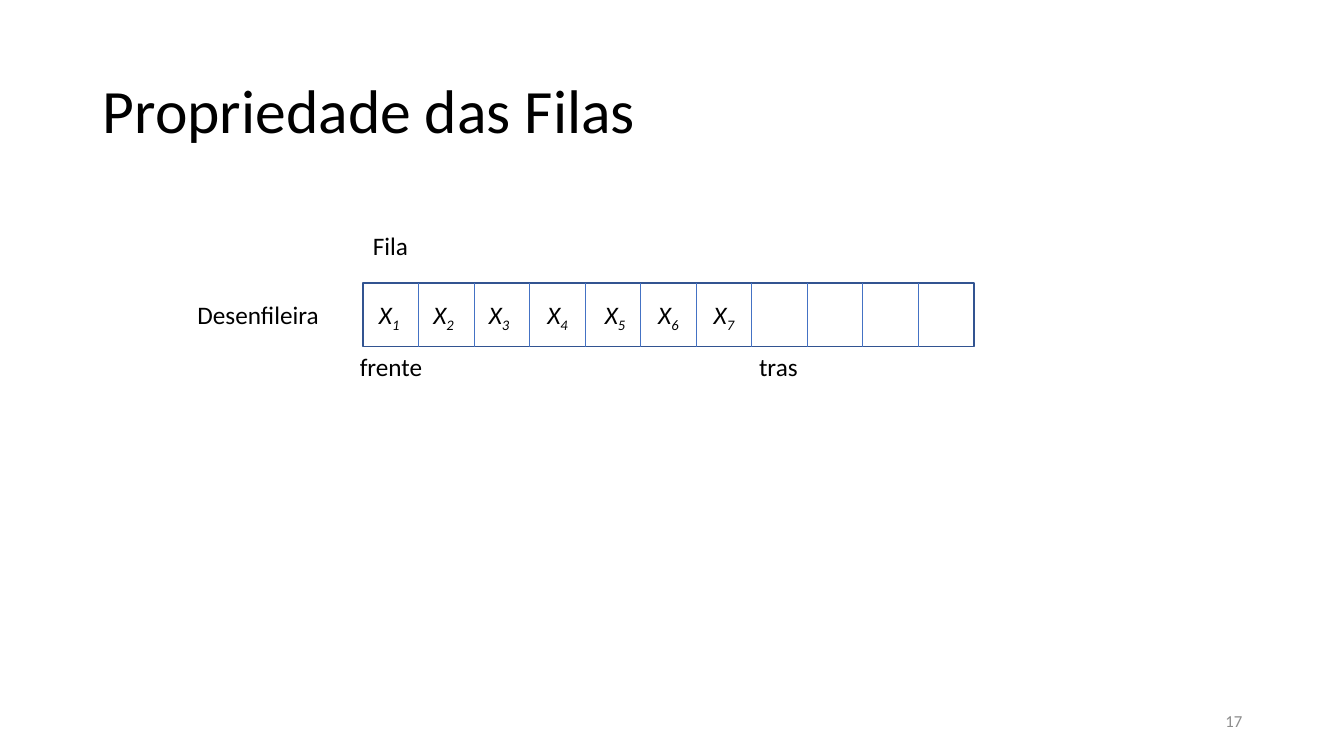
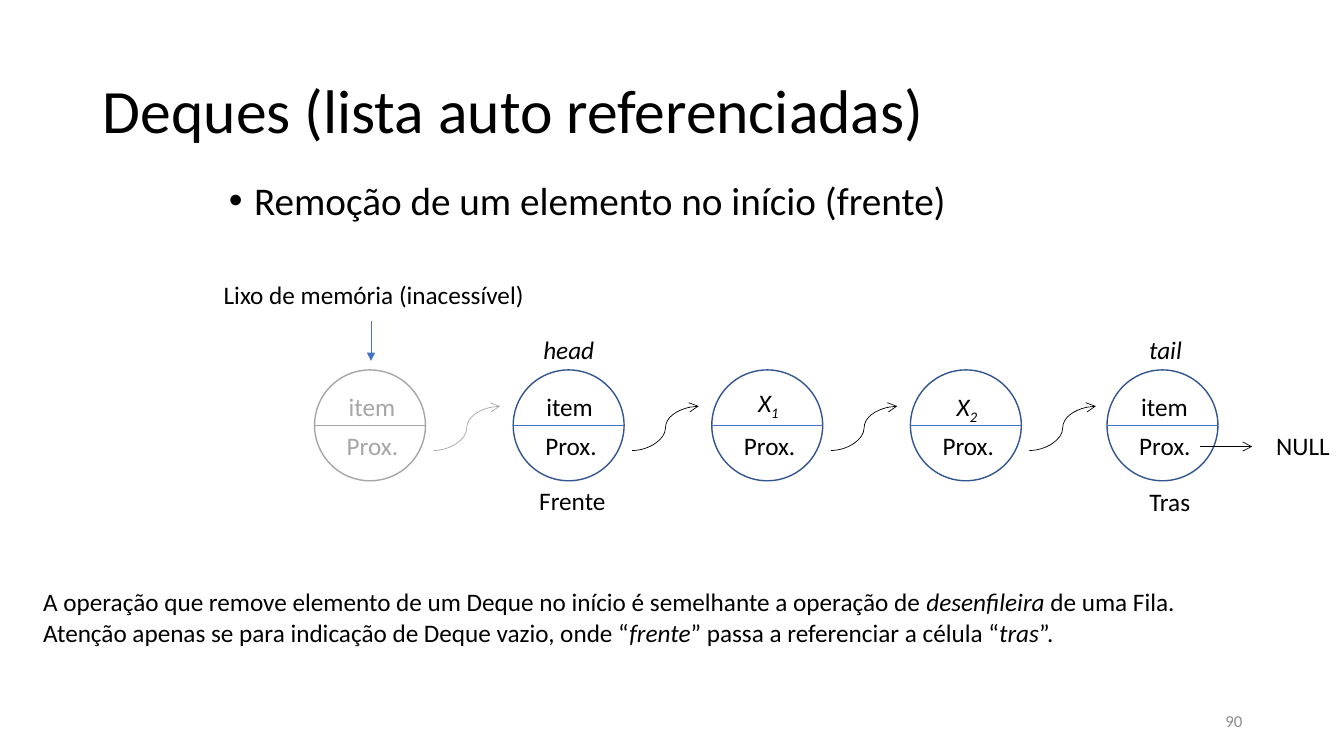
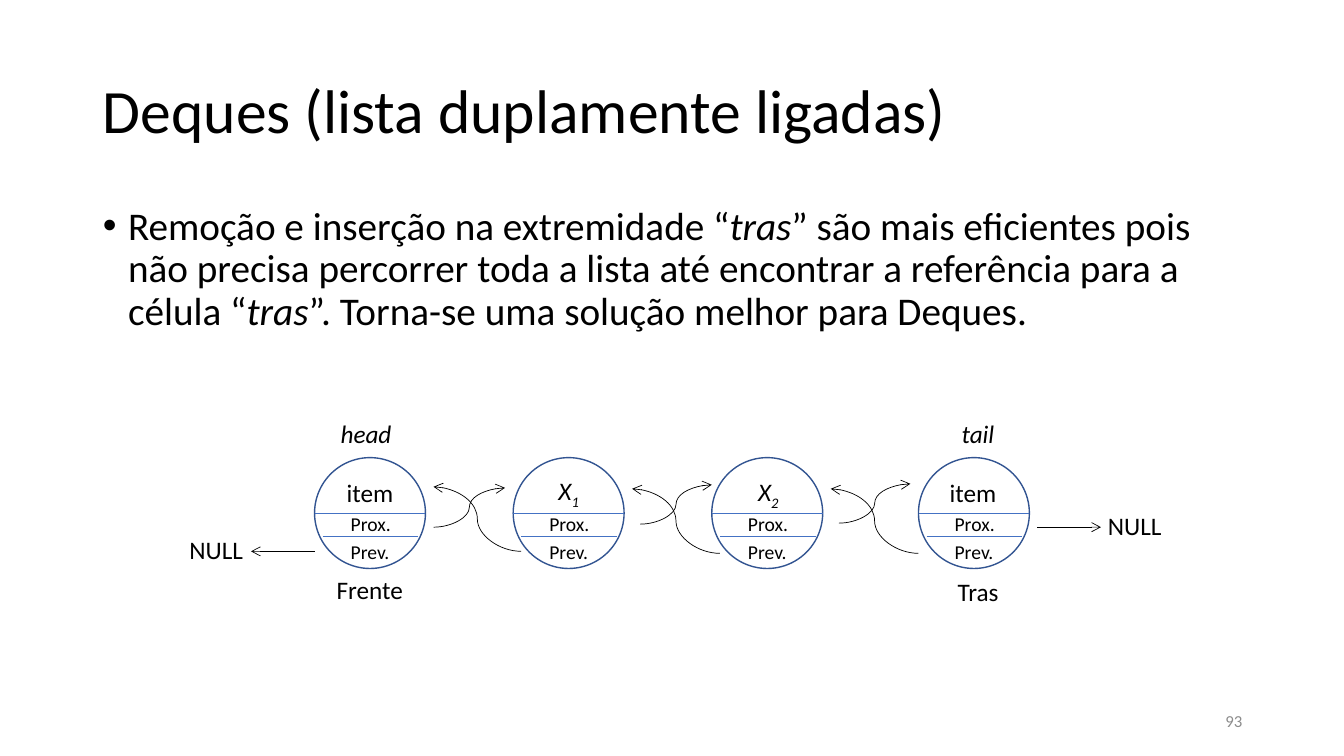
"""Three slides on queues and deques, with array and linked-cell diagrams."""
from dataclasses import dataclass

from lxml import etree
from pptx import Presentation
from pptx.dml.color import RGBColor
from pptx.enum import shapes as es, text as et
from pptx.oxml import ns
from pptx.util import Inches, Pt


@dataclass(frozen=True)
class Theme:
    font: str = "Calibri"
    ink: str = "000000"
    outline: str = "325491"
    divider: str = "4472C4"
    faded: str = "A6A6A6"
    page: str = "8C8C8C"
    title: int = 44
    body: int = 28
    label: int = 18
    small: int = 14
    footer: int = 12
    thick: float = 1
    thin: float = 0.5


T = Theme()
TITLE_BOX = (0.92, 0.4, 11.5, 1.45)
PAGE_BOX = (9.42, 6.95, 3, 0.4)
CELL = 1.1

QUEUE = dict(
    title="Propriedade das Filas", page="17",
    box=(3.6, 2.81, 6.06, 0.63), slots=11, value_top=2.92,
    value_lefts=[3.66, 4.2, 4.75, 5.33, 5.9, 6.43, 6.98],
    labels=[("Fila", 3.6, 2.24, 0.55), ("Desenfileira", 1.86, 2.92, 1.42),
            ("frente", 3.47, 3.44, 0.83), ("tras", 7.43, 3.44, 0.59)],
)

SINGLE = dict(
    title="Deques (lista auto referenciadas)", page="90",
    body="Remoção de um elemento no início (frente)", body_box=(2.17, 1.75, 9, 1.53),
    top=3.67,
    cells=[(3.12, "item", 3.36, 3.83), (5.09, "item", 5.32, 3.83), (7.06, "*X_1*", 7.42, 3.79),
           (9.03, "*X_2*", 9.39, 3.83), (10.98, "item", 11.22, 3.83)],
    labels=[("Lixo de memória (inacessível)", 2.12, 2.72, 3.21),
            ("*head*", 5.29, 3.27, 0.72), ("*tail*", 11.3, 3.27, 0.53),
            ("Frente", 5.25, 4.77, 0.87), ("Tras", 11.3, 4.78, 0.61),
            ("NULL", 12.56, 4.22, 0.74)],
    note="A operação que remove elemento de um Deque no início é semelhante a operação de "
         "*desenfileira* de uma Fila. Atenção apenas se para indicação de Deque vazio, onde "
         "“*frente*” passa a referenciar a célula “*tras*”.",
    note_box=(0.33, 5.77, 11.5, 0.71),
)

DOUBLE = dict(
    title="Deques (lista duplamente ligadas)", page="93",
    body="Remoção e inserção na extremidade “*tras*” são mais eficientes pois não precisa "
         "percorrer toda a lista até encontrar a referência para a célula “*tras*”. "
         "Torna-se uma solução melhor para Deques.",
    body_box=(0.92, 2, 11.5, 4.76),
    top=4.54,
    cells=[(3.12, "item", 3.34, 4.69), (5.09, "*X_1*", 5.44, 4.67),
           (7.06, "*X_2*", 7.42, 4.68), (9.11, "item", 9.32, 4.69)],
    labels=[("*head*", 3.28, 4.1, 0.74), ("*tail*", 9.44, 4.1, 0.53),
            ("Frente", 3.24, 5.65, 0.87), ("Tras", 9.4, 5.67, 0.61),
            ("NULL", 1.78, 5.25, 0.74), ("NULL", 10.89, 5.01, 0.74)],
    next_starts=[(4.3, 5.23), (6.35, 5.2), (8.32, 5.19)],
    prev_starts=[(5.17, 5.47), (7.14, 5.49), (9.11, 5.49)],
    null_arrows=[(3.12, 5.47, 2.49, 5.47), (10.29, 5.23, 10.92, 5.23)],
)


def inches(values):
    return [Inches(v) for v in values]


def write(p, markup, size, color=T.ink):
    for i, part in enumerate(markup.split("*")):
        for j, piece in enumerate(part.split("_")):
            if not piece:
                continue
            r = p.add_run()
            r.text = piece
            r.font.name, r.font.size = T.font, Pt(size)
            r.font.color.rgb = RGBColor.from_string(color)
            if i % 2:
                r.font.italic = True
            if j:
                r.font._element.set("baseline", "-25000")


def label(shapes, markup, left, top, width, size=T.label, color=T.ink, wrap=False, height=0.4):
    tf = shapes.add_textbox(*inches((left, top, width, height))).text_frame
    tf.word_wrap = wrap
    tf.auto_size = et.MSO_AUTO_SIZE.SHAPE_TO_FIT_TEXT
    write(tf.paragraphs[0], markup, size, color)


def line(shapes, x1, y1, x2, y2, color=T.divider, head=None, curved=False):
    kind = es.MSO_CONNECTOR.CURVE if curved else es.MSO_CONNECTOR.STRAIGHT
    c = shapes.add_connector(kind, *inches((x1, y1, x2, y2)))
    c.line.color.rgb = RGBColor.from_string(color)
    c.line.width = Pt(T.thin)
    if head:
        etree.SubElement(c.line._get_or_add_ln(), ns.qn("a:tailEnd"), type=head)
    etree.SubElement(c._element.spPr, ns.qn("a:effectLst"))


def outline(shapes, kind, box, color=T.outline):
    sp = shapes.add_shape(kind, *inches(box))
    sp.shadow.inherit = False
    sp.fill.background()
    sp.line.color.rgb = RGBColor.from_string(color)
    sp.line.width = Pt(T.thick)


def fill_placeholder(ph, box, markup, size, anchor):
    ph.left, ph.top, ph.width, ph.height = inches(box)
    tf = ph.text_frame
    tf.word_wrap = True
    tf.auto_size = et.MSO_AUTO_SIZE.NONE
    tf.vertical_anchor = anchor
    p = tf.paragraphs[0]
    p.alignment = et.PP_ALIGN.LEFT
    p.line_spacing, p.space_before = 0.9, Pt(0)
    write(p, markup, size)
    return p


def new_slide(prs, data):
    s = prs.slides.add_slide(prs.slide_layouts[1 if "body" in data else 5])
    fill_placeholder(s.shapes.title, TITLE_BOX, data["title"], T.title, et.MSO_ANCHOR.MIDDLE)
    if "body" in data:
        p = fill_placeholder(s.placeholders[1], data["body_box"], data["body"], T.body,
                             et.MSO_ANCHOR.TOP)
        pPr = p._p.get_or_add_pPr()
        pPr.set("marL", str(Inches(0.25)))
        pPr.set("indent", str(Inches(-0.25)))
    tf = s.shapes.add_textbox(*inches(PAGE_BOX)).text_frame
    tf.word_wrap = True
    tf.vertical_anchor = et.MSO_ANCHOR.MIDDLE
    tf.paragraphs[0].alignment = et.PP_ALIGN.RIGHT
    write(tf.paragraphs[0], data["page"], T.footer, T.page)
    for item in data["labels"]:
        label(s.shapes, *item)
    return s


def cell(shapes, left, top, item, item_left, item_top, ring=T.outline, rule=T.divider, ink=T.ink):
    outline(shapes, es.MSO_SHAPE.OVAL, (left, top, CELL, CELL), ring)
    middle = top + CELL / 2
    line(shapes, left, middle, left + CELL, middle, rule)
    label(shapes, item, item_left, item_top, 0.67 if item == "item" else 0.42, color=ink)


def queue_slide(prs):
    s = new_slide(prs, QUEUE)
    left, top, width, height = QUEUE["box"]
    outline(s.shapes, es.MSO_SHAPE.RECTANGLE, QUEUE["box"])
    for i in range(1, QUEUE["slots"]):
        x = left + i * width / QUEUE["slots"]
        line(s.shapes, x, top, x, top + height)
    for n, x in enumerate(QUEUE["value_lefts"], 1):
        label(s.shapes, f"*X_{n}*", x, QUEUE["value_top"], 0.42)


def single_slide(prs):
    s = new_slide(prs, SINGLE)
    top, cells = SINGLE["top"], SINGLE["cells"]
    for i, (left, *item) in enumerate(cells):
        ring, rule, ink = (T.outline, T.divider, T.ink) if i else (T.faded,) * 3
        cell(s.shapes, left, top, *item, ring, rule, ink)
        label(s.shapes, "Prox.", left + 0.22, top + 0.55, 0.72, color=ink)
        if i < len(cells) - 1:
            line(s.shapes, left + 1.18, top + 0.8, left + 1.84, top + 0.36, ink, "arrow", True)
    line(s.shapes, 11.9, 4.43, 12.42, 4.43, T.ink, "arrow")
    line(s.shapes, 3.68, 3.18, 3.68, 3.58, T.divider, "triangle")
    label(s.shapes, SINGLE["note"], *SINGLE["note_box"][:3], wrap=True,
          height=SINGLE["note_box"][3])


def double_slide(prs):
    s = new_slide(prs, DOUBLE)
    top = DOUBLE["top"]
    for left, *item in DOUBLE["cells"]:
        shapes = s.shapes.add_group_shape().shapes
        cell(shapes, left, top, *item)
        line(shapes, left + 0.08, top + 0.78, left + 1.03, top + 0.78)
        for name, dy in (("Prox.", 0.49), ("Prev.", 0.77)):
            label(shapes, name, left + 0.26, top + dy, 0.6, T.small, height=0.34)
    for starts, dx, dy in ((DOUBLE["next_starts"], 0.71, -0.39),
                           (DOUBLE["prev_starts"], -0.87, -0.64)):
        for x, y in starts:
            line(s.shapes, x, y, x + dx, y + dy, T.ink, "arrow", True)
    for ends in DOUBLE["null_arrows"]:
        line(s.shapes, *ends, T.ink, "arrow")


def main():
    prs = Presentation()
    prs.slide_width, prs.slide_height = Inches(13.33), Inches(7.5)
    for build in (queue_slide, single_slide, double_slide):
        build(prs)
    prs.save("out.pptx")


if __name__ == "__main__":
    main()
